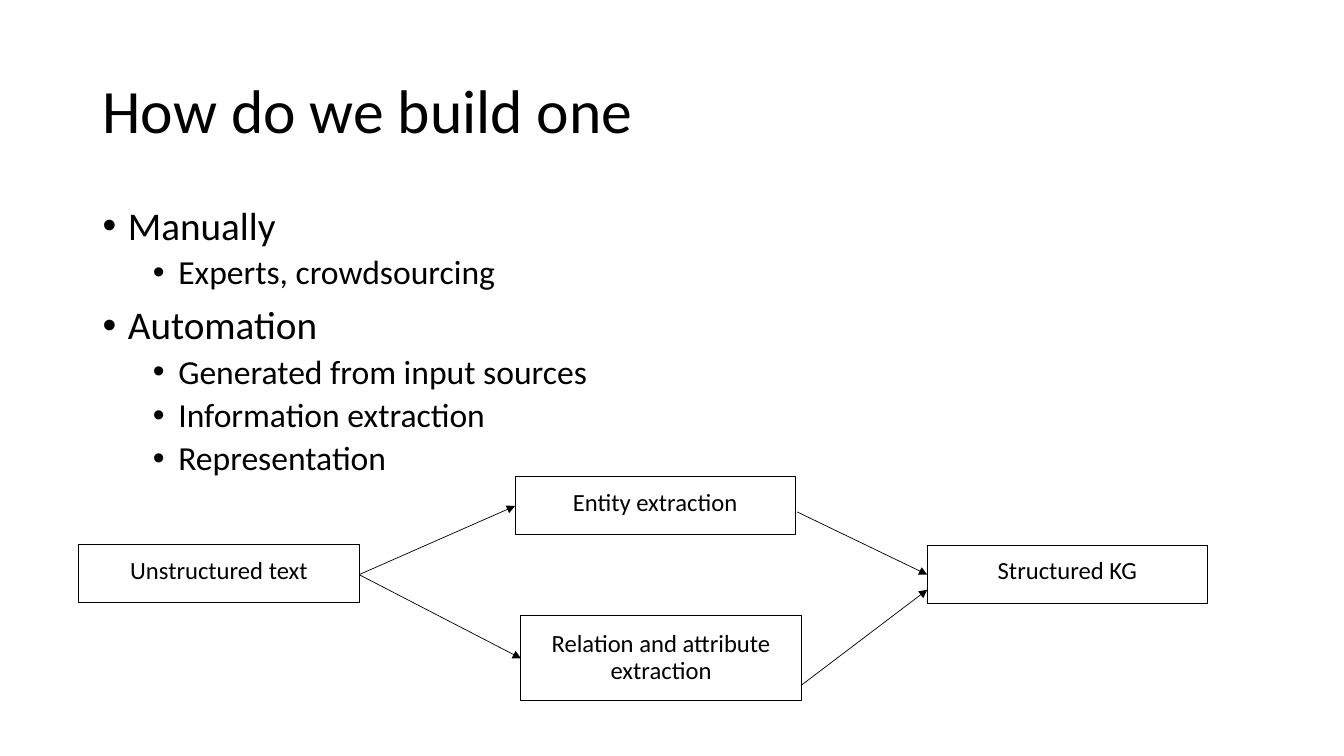
from dataclasses import dataclass

from lxml.etree import SubElement as Sub
from pptx import Presentation
from pptx.dml.color import RGBColor as Rgb
from pptx.enum.shapes import MSO_CONNECTOR as Conn, MSO_SHAPE as Form
from pptx.enum.text import MSO_ANCHOR as Anchor, MSO_AUTO_SIZE as Fit, PP_ALIGN as Align
from pptx.oxml.ns import qn
from pptx.util import Cm, Pt


@dataclass(frozen=True)
class Theme:
    font: str = "Calibri"
    ink: Rgb = Rgb(0, 0, 0)
    title: float = 44
    levels: tuple = (28, 24)
    label: float = 17.6
    edge: float = 0.75
    arrow: float = 0.5


def put(par, text, theme, size, align=Align.LEFT, before=0, after=0):
    """Write one formatted paragraph."""
    par.alignment = align
    par.line_spacing = 0.9
    par.space_before, par.space_after = Pt(before), Pt(after)
    run = par.add_run()
    run.text = text
    run.font.name, run.font.size = theme.font, Pt(size)
    run.font.color.rgb = theme.ink


def dot(par, left, hang):
    """Give a paragraph a round bullet with a hanging indent."""
    props = par._p.get_or_add_pPr()
    props.set("marL", str(Cm(left)))
    props.set("indent", str(-Cm(hang)))
    Sub(props, qn("a:buFont"), typeface="Arial")
    Sub(props, qn("a:buChar"), char="•")


def move(shape, left, top, width, height):
    shape.left, shape.top = Cm(left), Cm(top)
    shape.width, shape.height = Cm(width), Cm(height)


class Page:
    def __init__(self, deck, theme):
        self.theme = theme
        self.slide = deck.slides.add_slide(deck.slide_layouts[1])
        self.shapes = self.slide.shapes

    def title(self, text, *area):
        shape = self.shapes.title
        move(shape, *area)
        frame = shape.text_frame
        frame.auto_size = Fit.NONE
        frame.vertical_anchor = Anchor.MIDDLE
        put(frame.paragraphs[0], text, self.theme, self.theme.title)

    def list(self, items, *area):
        shape = self.slide.placeholders[1]
        move(shape, *area)
        frame = shape.text_frame
        frame.auto_size = Fit.NONE
        for num, (level, text) in enumerate(items):
            par = frame.add_paragraph() if num else frame.paragraphs[0]
            par.level = level
            put(par, text, self.theme, self.theme.levels[level], before=(10, 5)[level])
            dot(par, 0.64 + 1.27 * level, 0.64)

    def box(self, text, left, top, height=1.47, width=7.06):
        area = [Cm(side) for side in (left, top, width, height)]
        shape = self.shapes.add_shape(Form.RECTANGLE, *area)
        shape.shadow.inherit = False
        shape.fill.background()
        shape.line.color.rgb = self.theme.ink
        shape.line.width = Pt(self.theme.edge)
        frame = shape.text_frame
        frame.word_wrap = True
        frame.auto_size = Fit.SHAPE_TO_FIT_TEXT
        frame.vertical_anchor = Anchor.TOP
        frame.margin_left = frame.margin_right = Cm(0.51)
        frame.margin_top = frame.margin_bottom = Cm(0.41)
        put(frame.paragraphs[0], text, self.theme, self.theme.label,
            align=Align.CENTER, after=5.9)

    def arrow(self, start, end):
        ends = [Cm(side) for side in start + end]
        link = self.shapes.add_connector(Conn.STRAIGHT, *ends)
        link.line.color.rgb = self.theme.ink
        link.line.width = Pt(self.theme.arrow)
        props = link._element.spPr
        Sub(props.find(qn("a:ln")), qn("a:tailEnd"), type="triangle")
        Sub(props, qn("a:effectLst"))


def main():
    deck = Presentation()
    deck.slide_width, deck.slide_height = Cm(33.87), Cm(19.05)
    page = Page(deck, Theme())

    page.title("How do we build one", 2.33, 1.01, 29.21, 3.68)
    page.list([
        (0, "Manually"),
        (1, "Experts, crowdsourcing"),
        (0, "Automation"),
        (1, "Generated from input sources"),
        (1, "Information extraction"),
        (1, "Representation"),
    ], 2.33, 5.07, 29.21, 12.09)

    page.box("Unstructured text", 1.99, 13.72)
    page.box("Relation and attribute extraction", 13.13, 15.5, height=2.16)
    page.box("Entity extraction", 12.98, 12.01)
    page.box("Structured KG", 23.37, 13.74)

    source = (9.05, 14.48)
    page.arrow(source, (12.98, 12.75))
    page.arrow(source, (13.13, 16.59))
    page.arrow((20.09, 12.9), (23.37, 14.48))
    page.arrow((20.19, 17.27), (23.37, 14.86))

    deck.save("out.pptx")


if __name__ == "__main__":
    main()
